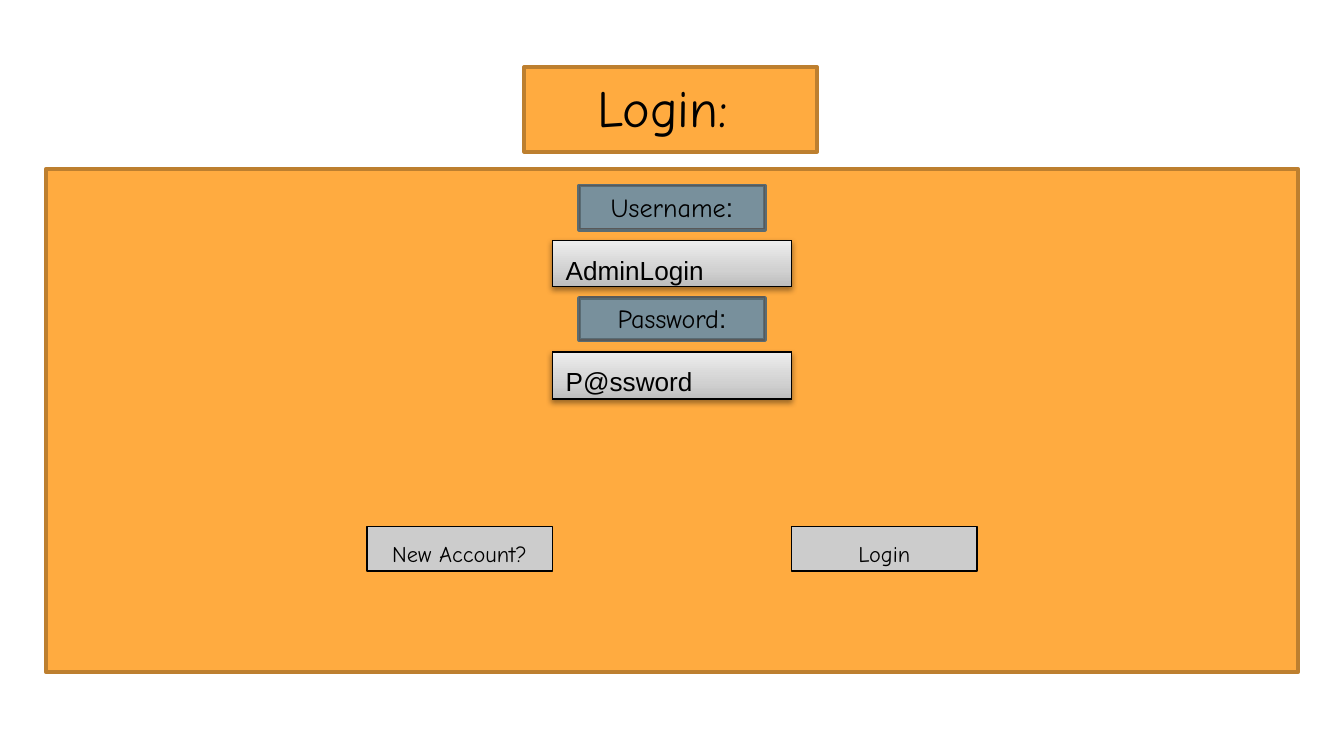
from pptx import Presentation
from pptx.dml.color import RGBColor
from pptx.enum.shapes import MSO_SHAPE
from pptx.enum.text import MSO_ANCHOR as Anchor, MSO_AUTO_SIZE as Fit, PP_ALIGN as Align
from pptx.oxml.ns import qn
from pptx.util import Inches, Pt
from lxml.etree import SubElement as Sub

HUES = {
    "amber": "FFAB40", "brown": "BD7F2F", "slate": "78909C", "steel": "596B73",
    "gray": "CCCCCC", "dim": "595959", "black": "000000",
    "low": "BDBDBD", "mid": "D1D1D1", "high": "EEEEEE",
}
HAND, SANS = "Comic Neue", "Arial"


class Form:
    def __init__(self, slide):
        self.slide = slide

    def hue(self, name):
        return RGBColor.from_string(HUES[name])

    def box(self, x, y, w, h, fill=None, line="black", width=0.75):
        shape = self.slide.shapes.add_shape(
            MSO_SHAPE.RECTANGLE, Inches(x), Inches(y), Inches(w), Inches(h))
        shape.shadow.inherit = False
        if fill:
            shape.fill.solid()
            shape.fill.fore_color.rgb = self.hue(fill)
        else:
            shape.fill.background()
        shape.line.color.rgb = self.hue(line)
        shape.line.width = Pt(width)
        return shape

    def text(self, shape, runs, size, align=Align.CENTER, anchor=Anchor.TOP):
        frame = shape.text_frame
        frame.word_wrap = True
        frame.auto_size = Fit.NONE
        frame.vertical_anchor = anchor
        frame.margin_left = frame.margin_right = Inches(0.1)
        frame.margin_top = frame.margin_bottom = Inches(0.1)
        par = frame.paragraphs[0]
        par.alignment = align
        for words, face in runs:
            run = par.add_run()
            run.text = words
            run.font.name = face
            run.font.size = Pt(size)
            run.font.color.rgb = self.hue("black")

    def title(self, words, x, y, w, h):
        shape = self.slide.shapes.title
        shape.left, shape.top = Inches(x), Inches(y)
        shape.width, shape.height = Inches(w), Inches(h)
        self.text(shape, [(words, HAND)], 28)
        self.slide.shapes._spTree.append(shape._element)

    def color(self, node, name):
        return Sub(node, qn("a:srgbClr"), val=HUES[name])

    def glow(self, shape):
        shape.fill.gradient()
        shape.fill.gradient_angle = 90
        props = shape._element.spPr
        stops = props.find(qn("a:gradFill")).find(qn("a:gsLst"))
        for stop in list(stops):
            stops.remove(stop)
        for spot, name in ((0, "low"), (35, "mid"), (100, "high")):
            self.color(Sub(stops, qn("a:gs"), pos=str(spot * 1000)), name)
        shade = Sub(props.find(qn("a:effectLst")), qn("a:outerShdw"),
                    blurRad=str(Pt(3.1)), dist=str(Pt(1.6)),
                    dir="5400000", rotWithShape="0")
        Sub(self.color(shade, "black"), qn("a:alpha"), val="38000")

    def field(self, words, y, h):
        spot = (4.11, y, 1.78, h)
        self.glow(self.box(*spot))
        self.text(self.box(*spot), [(words, SANS)], 14, Align.LEFT)

    def plate(self, y, h):
        self.box(4.31, y, 1.38, h, "slate", "steel", 2)

    def label(self, words, y):
        shape = self.box(4.31, y, 1.38, 0.32, line="dim")
        self.text(shape, [(words, HAND), (":", SANS)], 14, anchor=Anchor.MIDDLE)

    def button(self, words, x):
        self.text(self.box(x, 3.92, 1.38, 0.33, "gray"), [(words, HAND)], 12)


deck = Presentation()
deck.slide_width = Inches(10)
deck.slide_height = deck.slide_width * 9 // 16
form = Form(deck.slides.add_slide(deck.slide_layouts[5]))

for spot in ((3.9, 0.5, 2.18, 0.63), (0.34, 1.26, 9.32, 3.74)):
    form.box(*spot, "amber", "brown", 2)
form.plate(1.38, 0.33)
form.title("Login:", 0.27, 0.46, 9.32, 0.63)
form.field("AdminLogin", 1.79, 0.34)
form.field("P@ssword", 2.62, 0.35)
form.label("Username", 1.38)
form.plate(2.22, 0.31)
form.label("Password", 2.21)
for words, x in (("New Account?", 2.73), ("Login", 5.89)):
    form.button(words, x)

deck.save("out.pptx")
